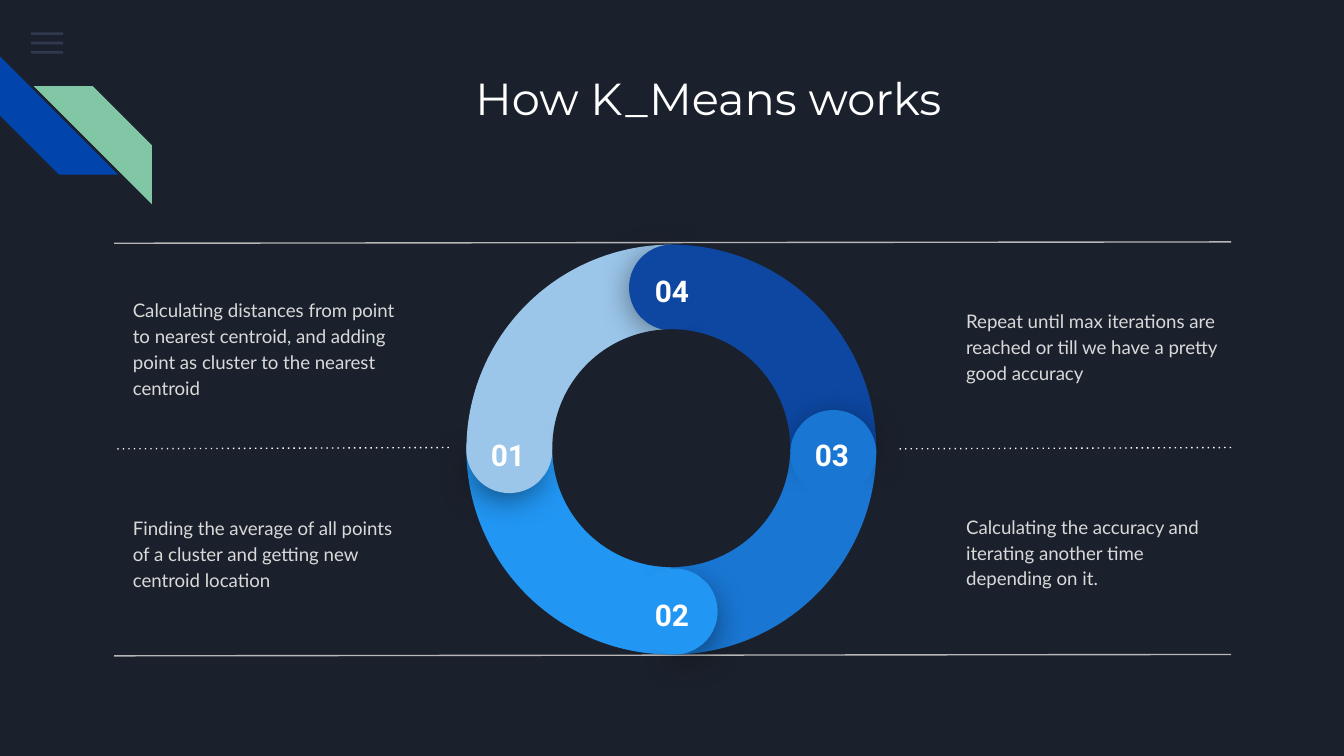
from lxml import etree
from pptx import Presentation
from pptx.dml.color import RGBColor
from pptx.enum.shapes import MSO_CONNECTOR as Link, MSO_SHAPE as Kind
from pptx.enum.text import MSO_ANCHOR as Anchor, PP_ALIGN as Align
from pptx.oxml.ns import qn
from pptx.util import Inches, Pt

DARK, WHITE, GREY = "1B212C", "FFFFFF", "D9D9D9"
TITLE = "How K_Means works"
NOTES = [
    (0.89, 1.93, 1.31, "Calculating distances from point to nearest centroid, "
                       "and adding point as cluster to the nearest centroid"),
    (0.89, 3.73, 0.76, "Finding the average of all points of a cluster "
                       "and getting new centroid location"),
    (7.09, 2.19, 0.76, "Repeat until max iterations are reached "
                       "or till we have a pretty good accuracy"),
    (7.09, 3.72, 0.76, "Calculating the accuracy and iterating another time depending on it."),
]
RULES = [
    (9.16, 0.85, 1.8, "B7B7B7", False),
    (3.34, 0.85, 3.33, WHITE, True),
    (9.16, 6.67, 3.33, WHITE, True),
    (9.16, 0.85, 4.87, "B7B7B7", False),
]
ARCS = [("9BC5E9", 0), ("0D47A1", 90), ("1976D2", 180), ("2196F3", 270)]
STEPS = [
    ("01", "9BC5E9", 0, (3.48, 3.07), (3.47, 3.03), (3.5, 3.15)),
    ("02", "2196F3", 270, (4.74, 4.28), (4.7, 4.23), (4.72, 4.34)),
    ("03", "1976D2", 180, (5.93, 3.07), (5.88, 3.05), (5.91, 3.15)),
    ("04", "0D47A1", 90, (4.7, 1.83), (4.68, 1.82), (4.72, 1.93)),
]


def rgb(code):
    return RGBColor.from_string(code)


def add_shape(kind, box, color, turn=0, adj=()):
    shape = slide.shapes.add_shape(kind, *map(Inches, box))
    shape.shadow.inherit = False
    shape.fill.solid()
    shape.fill.fore_color.rgb = rgb(color)
    shape.line.fill.background()
    shape.rotation = turn
    for i, value in enumerate(adj):
        shape.adjustments[i] = value
    return shape


def add_text(box, text, font, size, color, align=Align.LEFT, bold=False, anchor=Anchor.TOP):
    frame = slide.shapes.add_textbox(*map(Inches, box)).text_frame
    frame.word_wrap = True
    frame.vertical_anchor = anchor
    frame.margin_left = frame.margin_right = Inches(0.1)
    frame.margin_top = frame.margin_bottom = Inches(0.1)
    frame.text = text
    para = frame.paragraphs[0]
    para.alignment = align
    face = para.runs[0].font
    face.name, face.size, face.bold = font, Pt(size), bold
    face.color.rgb = rgb(color)
    return para


def add_rule(start, end, top, color, dotted):
    rule = slide.shapes.add_connector(
        Link.STRAIGHT, Inches(start), Inches(top), Inches(end), Inches(top + 0.01))
    rule.line.color.rgb = rgb(color)
    rule.line.width = Pt(0.75)
    if dotted:
        etree.SubElement(rule.line._get_or_add_ln(), qn("a:prstDash"), val="dot")
    etree.SubElement(rule._element.spPr, qn("a:effectLst"))


def add_alpha(node, share):
    etree.SubElement(node, qn("a:alpha"), val=str(share * 1000))


def add_shadow(shape):
    effects = shape._element.spPr.find(qn("a:effectLst"))
    glow = etree.SubElement(effects, qn("a:outerShdw"), blurRad=str(Pt(18)),
                            dist=str(Pt(4)), dir="5400000", algn="bl", rotWithShape="0")
    add_alpha(etree.SubElement(glow, qn("a:srgbClr"), val="000000"), 55)


deck = Presentation()
deck.slide_width = Inches(10)
deck.slide_height = deck.slide_width * 9 // 16
slide = deck.slides.add_slide(deck.slide_layouts[6])
slide.background.fill.solid()
slide.background.fill.fore_color.rgb = rgb(DARK)

for i in range(3):
    bar = add_shape(Kind.RECTANGLE, (0.23, 0.24 + 0.07 * i, 0.24, 0.02), "55688B")
    add_alpha(bar._element.spPr.find(".//" + qn("a:srgbClr")), 36)

add_shape(Kind.DIAGONAL_STRIPE, (0, 0.42, 0.88, 0.88), "0145AC", 270)
stripe = add_shape(Kind.DIAGONAL_STRIPE, (0.25, 0.64, 0.88, 0.88), "82C7A5")
stripe._element.spPr.find(qn("a:xfrm")).set("flipH", "1")

add_text((1.42, 0.43, 7.7, 1), TITLE, "Montserrat", 24, WHITE, Align.CENTER)
for left, top, high, text in NOTES:
    para = add_text((left, top, 2.18, high), text, "Lato", 10, GREY, anchor=Anchor.MIDDLE)
    para.line_spacing = 1.15
    para.space_after = Pt(16)

for rule in RULES:
    add_rule(*rule)

for color, turn in ARCS:
    add_shape(Kind.PIE, (3.47, 1.82, 3.05, 3.05), color, turn, (107.96, 162.01))

for label, color, turn, cap, disc, spot in STEPS:
    add_shadow(add_shape(Kind.PIE, (*cap, 0.57, 0.57), color,
                         (turn + 39.5) % 360, (189.54, 83.81)))
    add_shape(Kind.CHORD, (*disc, 0.64, 0.64), color, turn + 4.1, (25.01, 18.12))
    add_text((*spot, 0.56, 0.29), label, "Roboto", 16, WHITE, Align.CENTER, True)

add_shape(Kind.OVAL, (4.11, 2.45, 1.77, 1.77), DARK)

deck.save("out.pptx")
